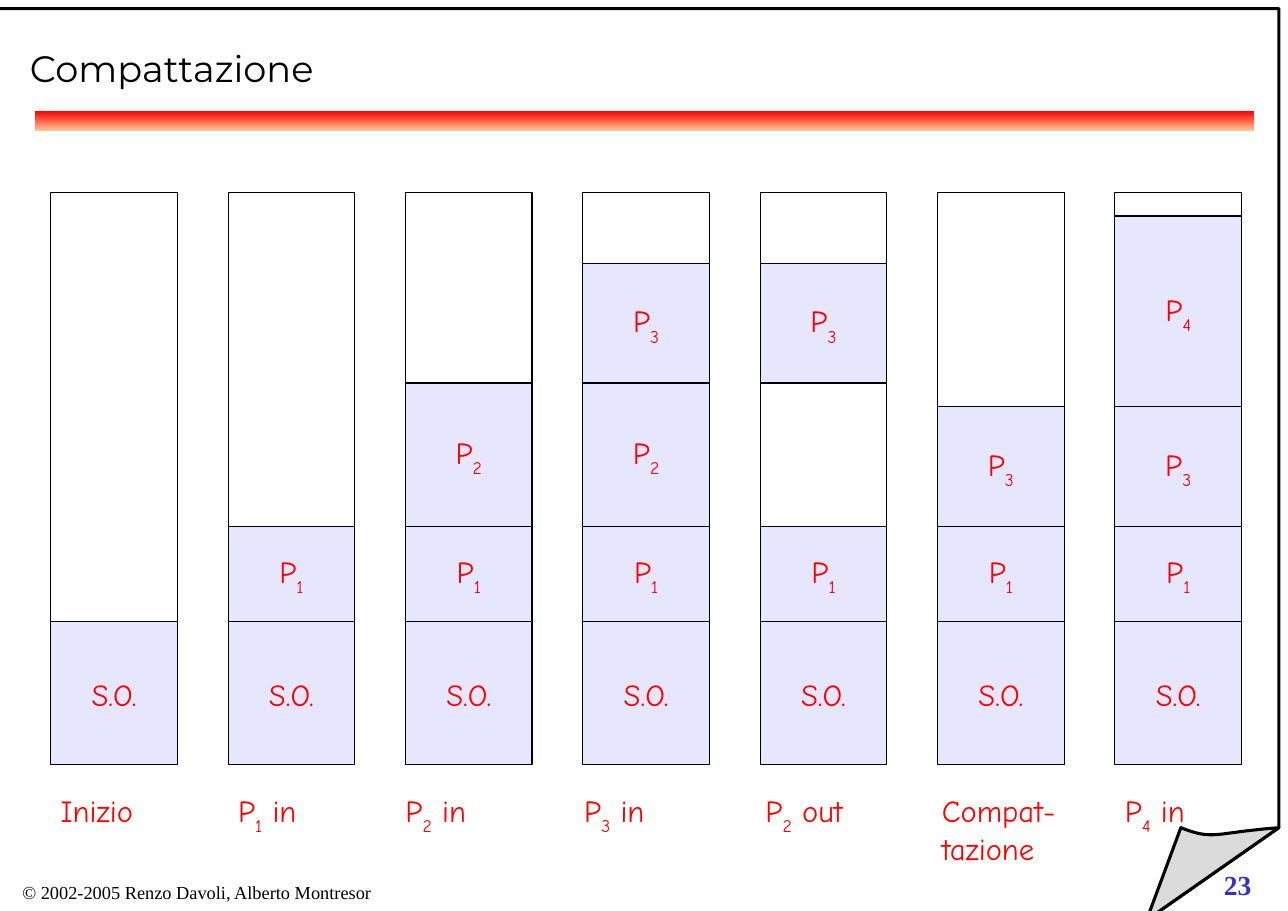
from pptx import Presentation
from pptx.dml.color import RGBColor
from pptx.enum.shapes import MSO_SHAPE
from pptx.enum.text import MSO_ANCHOR, PP_ALIGN
from pptx.util import Cm, Pt

# Content: text between bars is subscript, "libero" is a hole in memory
TITLE = "Compattazione"
CREDIT = "© 2002-2005 Renzo Davoli, Alberto Montresor"
PAGE_NUMBER = "23"
MEMORY_UNITS = 24
UNITS = {"S.O.": 6, "P|1": 4, "P|2": 6, "P|3": 5, "P|4": 8, "libero": 6}
STAGES = [  # caption, caption indent in cm, blocks from the bottom up
    ("Inizio", 0.23, ["S.O."]),
    ("P|1| in", 0.23, ["S.O.", "P|1"]),
    ("P|2| in", 0, ["S.O.", "P|1", "P|2"]),
    ("P|3| in", 0.03, ["S.O.", "P|1", "P|2", "P|3"]),
    ("P|2| out", 0.12, ["S.O.", "P|1", "libero", "P|3"]),
    ("Compat-\ntazione", 0.1, ["S.O.", "P|1", "P|3"]),
    ("P|4| in", 0.23, ["S.O.", "P|1", "P|3", "P|4"]),
]

# Colours and formats
BLACK = RGBColor(0x00, 0x00, 0x00)
WHITE = RGBColor(0xFF, 0xFF, 0xFF)
RED = RGBColor(0xFF, 0x00, 0x00)
PEACH = RGBColor(0xFF, 0xCC, 0x99)
LAVENDER = RGBColor(0xE6, 0xE6, 0xFF)
FOLD_GREY = RGBColor(0xDB, 0xDB, 0xDB)
NUMBER_BLUE = RGBColor(0x33, 0x33, 0xCC)

TITLE_FONT = {"name": "Montserrat", "size": Pt(24)}
BODY_FONT = {"name": "Comic Neue", "size": Pt(20)}
CREDIT_FONT = {"name": "Times New Roman", "size": Pt(12)}
NUMBER_FONT = {"name": "Times New Roman", "size": Pt(18), "bold": True}
NO_MARGINS = {"margin_left": 0, "margin_right": 0, "margin_top": 0, "margin_bottom": 0}
TOP = {"word_wrap": True, "vertical_anchor": MSO_ANCHOR.TOP}
MIDDLE = {"word_wrap": True, "vertical_anchor": MSO_ANCHOR.MIDDLE}
LEFT = {"alignment": PP_ALIGN.LEFT, "line_spacing": 1.05}
CENTRED = {"alignment": PP_ALIGN.CENTER, "line_spacing": 1.05}

# Layout in cm
FIRST_COLUMN, COLUMN_STEP, COLUMN_WIDTH = 1.17, 4.09, 2.92
MEMORY_BOTTOM, UNIT = 17.63, 0.55
CAPTION_TOP = 18.21
PAGE = [(-0.2, 0.2), (29.49, 0.2), (29.49, 19.08), (26.44, 21.21), (-0.2, 21.21)]
FOLD_TIP = (26.44, 21.21)
FOLD_CURVE = [(27.23, 19.08), (27.99, 19.38), (27.97, 19.2), (29.49, 19.08)]

presentation = Presentation()
presentation.slide_width, presentation.slide_height = Cm(29.7), Cm(21)
slide = presentation.slides.add_slide(presentation.slide_layouts[6])


def apply(target, formats):
    for name, value in formats.items():
        setattr(target, name, value)


def write(shape, text, font, color, frame_format, paragraph_format):
    frame = shape.text_frame
    apply(frame, frame_format)
    for number, line in enumerate(text.split("\n")):
        paragraph = frame.add_paragraph() if number else frame.paragraphs[0]
        apply(paragraph, paragraph_format)
        for position, part in enumerate(line.split("|")):
            run = paragraph.add_run()
            run.text = part
            apply(run.font, font)
            run.font.color.rgb = color
            if position % 2:
                run._r.get_or_add_rPr().set("baseline", "-33000")


def add_text(left, top, width, height, *text_and_formats):
    box = slide.shapes.add_textbox(Cm(left), Cm(top), Cm(width), Cm(height))
    write(box, *text_and_formats)


def paint(shape, fill, line_width):
    shape.shadow.inherit = False
    shape.fill.solid()
    shape.fill.fore_color.rgb = fill
    shape.line.color.rgb = BLACK
    shape.line.width = Pt(line_width)


def add_outline(points, fill):
    start, *others = [(Cm(x), Cm(y)) for x, y in points]
    builder = slide.shapes.build_freeform(*start, scale=1.0)
    builder.add_line_segments(others, close=True)
    paint(builder.convert_to_shape(), fill, 2)


def add_block(left, bottom, units, fill):
    height = units * UNIT
    block = slide.shapes.add_shape(
        MSO_SHAPE.RECTANGLE, Cm(left), Cm(bottom - height), Cm(COLUMN_WIDTH), Cm(height))
    paint(block, fill, 0)
    return block


def curve_point(t):
    weights = ((1 - t) ** 3, 3 * t * (1 - t) ** 2, 3 * t ** 2 * (1 - t), t ** 3)
    return tuple(sum(w * point[axis] for w, point in zip(weights, FOLD_CURVE))
                 for axis in (0, 1))


# Page sheet with folded corner
add_outline(PAGE, WHITE)
add_outline([FOLD_TIP] + [curve_point(step / 20) for step in range(21)], FOLD_GREY)
add_text(27.97, 19.84, 1.73, 1.12, PAGE_NUMBER, NUMBER_FONT, NUMBER_BLUE, TOP,
         {**LEFT, "space_before": Pt(11.2)})

# Title, gradient bar and credit
bar = slide.shapes.add_shape(MSO_SHAPE.RECTANGLE, Cm(0.81), Cm(2.56), Cm(28.1), Cm(0.47))
bar.shadow.inherit = False
bar.line.fill.background()
bar.fill.gradient()
bar.fill.gradient_angle = 90
for stop, color, position in zip(bar.fill.gradient_stops, (PEACH, RED), (0, 1)):
    stop.color.rgb = color
    stop.position = position
add_text(0.1, 20.17, 8.89, 0.84, CREDIT, CREDIT_FONT, BLACK,
         {**TOP, "word_wrap": False}, CENTRED)
add_text(0.69, 0.84, 28.32, 1.6, TITLE, TITLE_FONT, BLACK,
         {**MIDDLE, **NO_MARGINS}, {**LEFT, "line_spacing": 0.85})

# Memory columns with their captions
for column, (caption, indent, blocks) in enumerate(STAGES):
    left = FIRST_COLUMN + column * COLUMN_STEP
    system_top = MEMORY_BOTTOM - UNITS["S.O."] * UNIT
    add_block(left, system_top, MEMORY_UNITS - UNITS["S.O."], WHITE)
    bottom = MEMORY_BOTTOM
    for process in blocks:
        if process != "libero":
            block = add_block(left, bottom, UNITS[process], LAVENDER)
            write(block, process, BODY_FONT, RED, {**MIDDLE, **NO_MARGINS}, CENTRED)
        bottom -= UNITS[process] * UNIT
    add_text(left + indent, CAPTION_TOP, 3.2, 1.1 * len(caption.split("\n")), caption,
             BODY_FONT, RED, {**TOP, **NO_MARGINS}, LEFT)

presentation.save("out.pptx")
